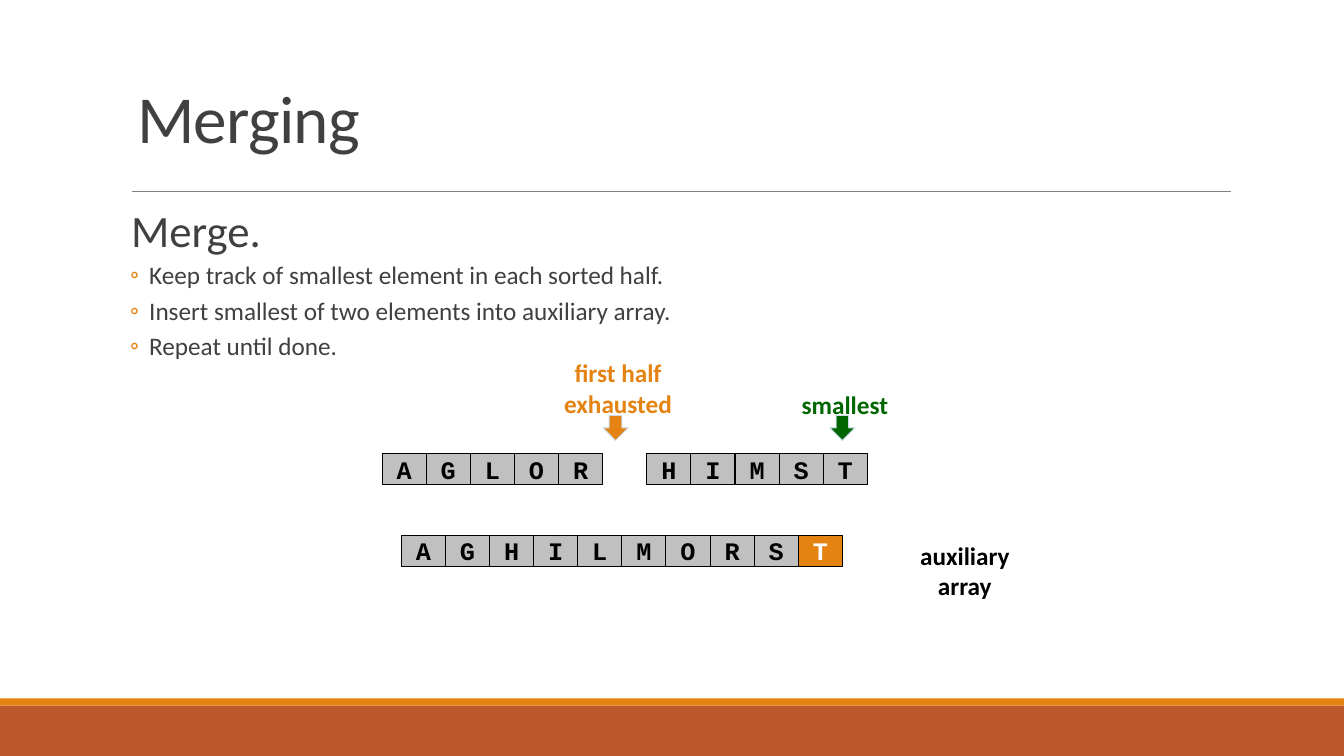
import pptx
import pptx.dml.color
import pptx.enum.shapes
import pptx.enum.text
import pptx.oxml
import pptx.oxml.ns
import pptx.util
from pptx.util import Inches

ORANGE = "E48312"
GREEN = "006600"
GRAY = "C0C0C0"
DARK = "404040"
BLACK = "000000"
WHITE = "FFFFFF"
CELL_WIDTH = 0.4375
CELL_HEIGHT = 0.31
SHAPES = pptx.enum.shapes.MSO_SHAPE
ALIGN = pptx.enum.text.PP_ALIGN
ANCHOR = pptx.enum.text.MSO_ANCHOR


def color(value):
    return pptx.dml.color.RGBColor.from_string(value)


def place(shape, left, top, width, height):
    shape.left, shape.top = Inches(left), Inches(top)
    shape.width, shape.height = Inches(width), Inches(height)


def set_margins(text_frame, horizontal, vertical):
    text_frame.margin_left = text_frame.margin_right = Inches(horizontal)
    text_frame.margin_top = text_frame.margin_bottom = Inches(vertical)


def format_runs(paragraph, size, value, bold=False, name="Calibri"):
    for run in paragraph.runs:
        run.font.name = name
        run.font.size = pptx.util.Pt(size)
        run.font.bold = bold
        run.font.color.rgb = color(value)


def add_block(slide, kind, left, top, width, height, fill, line=None):
    shape = slide.shapes.add_shape(
        kind, Inches(left), Inches(top), Inches(width), Inches(height))
    shape.shadow.inherit = False
    shape.fill.solid()
    shape.fill.fore_color.rgb = color(fill)
    if line:
        shape.line.color.rgb = color(line)
        shape.line.width = pptx.util.Pt(0.75)
    else:
        shape.line.fill.background()
    return shape


def add_frame(slide, width, height):
    add_block(slide, SHAPES.RECTANGLE, 0, height - 0.5, width, 0.5, "BD582C")
    add_block(slide, SHAPES.RECTANGLE, 0, height - 0.57, width, 0.07, ORANGE)
    rule = slide.shapes.add_connector(
        pptx.enum.shapes.MSO_CONNECTOR.STRAIGHT,
        Inches(1.31), Inches(1.9), Inches(12.21), Inches(1.9))
    rule.line.color.rgb = color("808080")
    rule.line.width = pptx.util.Pt(0.5)
    properties = rule._element.spPr
    properties.append(pptx.oxml.parse_xml(
        "<a:effectLst %s/>" % pptx.oxml.ns.nsdecls("a")))


def add_title(slide, text, left, top, width, height):
    title = slide.shapes.title
    place(title, left, top, width, height)
    text_frame = title.text_frame
    text_frame.text = text
    text_frame.auto_size = pptx.enum.text.MSO_AUTO_SIZE.NONE
    text_frame.vertical_anchor = ANCHOR.BOTTOM
    paragraph = text_frame.paragraphs[0]
    paragraph.alignment = ALIGN.LEFT
    paragraph.line_spacing = 0.85
    format_runs(paragraph, 48, DARK)
    paragraph.runs[0].font._element.set("spc", "-50")


def set_bullet(paragraph, character, left, indent):
    properties = paragraph._p.get_or_add_pPr()
    properties.set("marL", str(Inches(left)))
    properties.set("indent", str(Inches(indent)))
    namespace = pptx.oxml.ns.nsdecls("a")
    if character:
        properties.append(pptx.oxml.parse_xml(
            '<a:buClr %s><a:srgbClr val="%s"/></a:buClr>' % (namespace, ORANGE)))
        properties.append(pptx.oxml.parse_xml(
            '<a:buFont %s typeface="Calibri"/>' % namespace))
        properties.append(pptx.oxml.parse_xml(
            '<a:buChar %s char="%s"/>' % (namespace, character)))
    else:
        properties.append(pptx.oxml.parse_xml("<a:buNone %s/>" % namespace))


def add_steps(slide, heading, steps, left, top, width, height):
    body = slide.placeholders[1]
    place(body, left, top, width, height)
    text_frame = body.text_frame
    text_frame.text = "\n".join([heading] + steps)
    text_frame.auto_size = pptx.enum.text.MSO_AUTO_SIZE.NONE
    text_frame.vertical_anchor = ANCHOR.TOP
    set_margins(text_frame, 0, 0.05)
    for index, paragraph in enumerate(text_frame.paragraphs):
        paragraph.line_spacing = 0.9
        paragraph.space_before = pptx.util.Pt(2 if index else 0)
        paragraph.space_after = pptx.util.Pt(4 if index else 2)
        if index:
            paragraph.level = 1
            set_bullet(paragraph, "◦", 0.28, -0.19)
        else:
            set_bullet(paragraph, None, 0.1, 0)
        format_runs(paragraph, 18 if index else 32, DARK)


def add_label(slide, text, left, top, width, height, value):
    box = slide.shapes.add_textbox(
        Inches(left), Inches(top), Inches(width), Inches(height))
    box.text_frame.word_wrap = True
    box.text_frame.text = text
    paragraph = box.text_frame.paragraphs[0]
    paragraph.alignment = ALIGN.CENTER
    format_runs(paragraph, 18, value, True)


def add_pointer(slide, text, left, top, height, value):
    add_label(slide, text, left, top, 1.56, height, value)
    add_block(slide, SHAPES.DOWN_ARROW, left + 0.63, 4.12, 0.25, 0.25,
              value, "CCDDEA")


def add_array(slide, letters, left, top, highlighted=None):
    for index, letter in enumerate(letters):
        active = index == highlighted
        cell = add_block(slide, SHAPES.RECTANGLE, left + index * CELL_WIDTH, top,
                         CELL_WIDTH, CELL_HEIGHT, ORANGE if active else GRAY, BLACK)
        text_frame = cell.text_frame
        text_frame.text = letter
        text_frame.word_wrap = False
        text_frame.vertical_anchor = ANCHOR.MIDDLE
        set_margins(text_frame, 0.08, 0.04)
        paragraph = text_frame.paragraphs[0]
        paragraph.alignment = ALIGN.CENTER
        format_runs(paragraph, 18, WHITE if active else BLACK, True, "Courier New")


def add_merge_diagram(slide, left, top):
    add_pointer(slide, "first half\vexhausted", left + 1.56, top - 1, 0.71, ORANGE)
    add_pointer(slide, "smallest", left + 3.81, top - 0.69, 0.4, GREEN)
    add_array(slide, "AGLOR", left, top)
    add_array(slide, "HIMST", left + 6 * CELL_WIDTH, top)
    add_array(slide, "AGHILMORST", left + 0.19, top + 0.81, highlighted=9)
    add_label(slide, "auxiliary array", left + 5.06, top + 0.81, 1.44, 0.71, BLACK)


def main():
    presentation = pptx.Presentation()
    presentation.slide_width = Inches(13.33)
    presentation.slide_height = Inches(7.5)
    slide = presentation.slides.add_slide(presentation.slide_layouts[1])
    add_frame(slide, 13.33, 7.5)
    add_title(slide, "Merging", 1.26, 0.67, 6.75, 0.94)
    add_steps(slide, "Merge.", [
        "Keep track of smallest element in each sorted half.",
        "Insert smallest of two elements into auxiliary array.",
        "Repeat until done.",
    ], 1.2, 2.02, 11, 4.4)
    add_merge_diagram(slide, 3.79, 4.5)
    presentation.save("out.pptx")


if __name__ == "__main__":
    main()
